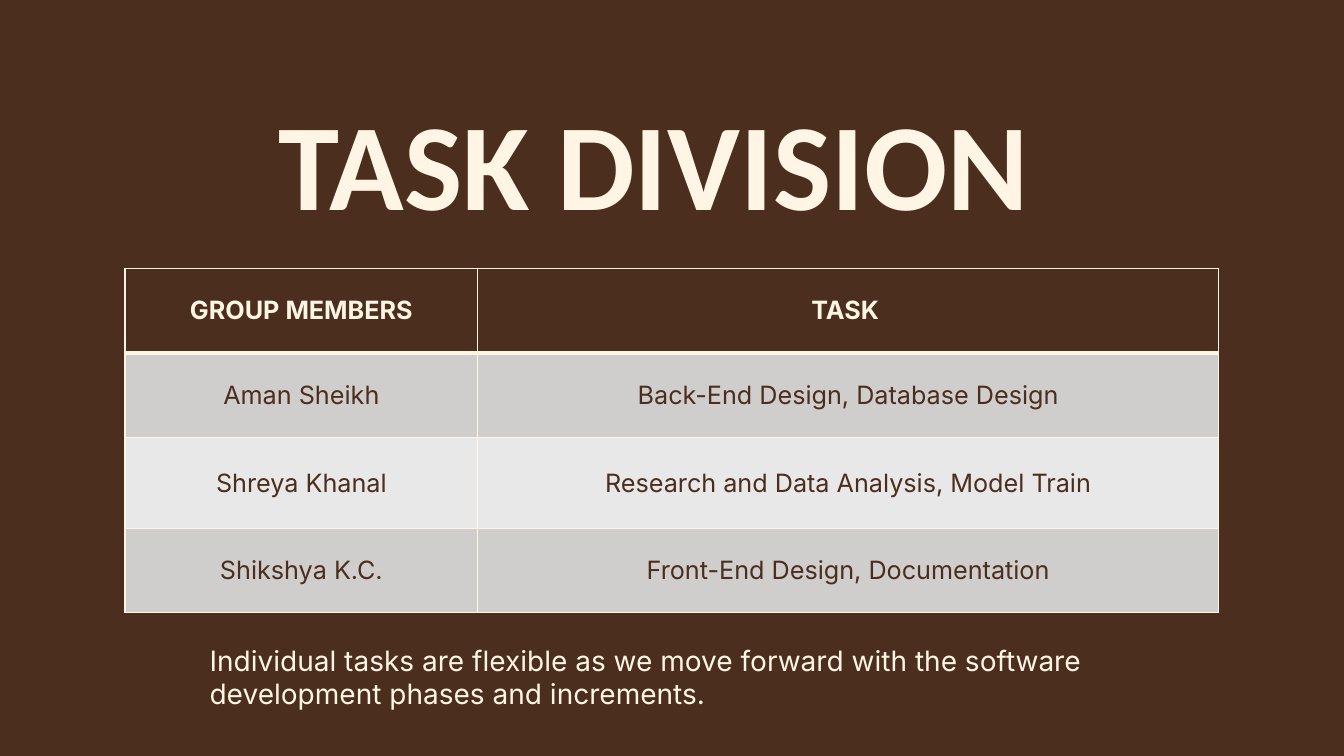
from dataclasses import dataclass

from lxml.etree import SubElement
from pptx import Presentation
from pptx.dml.color import RGBColor
from pptx.enum.text import MSO_ANCHOR, PP_ALIGN
from pptx.oxml.ns import qn
from pptx.util import Pt


@dataclass(frozen=True)
class Theme:
    brown: str = "4B2E1D"
    cream: str = "FFF5E4"
    bands: tuple = ("D0CDCD", "E9E8E8")
    head: str = "Calibri"
    body: str = "Inter"
    title: int = 88
    note: int = 20
    cell: int = 18
    thin: int = 1
    thick: int = 3


THEME = Theme()
TASKS = [
    ("GROUP MEMBERS", "TASK "),
    ("Aman Sheikh", "Back-End Design, Database Design"),
    ("Shreya Khanal", "Research and Data Analysis, Model Train"),
    ("Shikshya K.C.", "Front-End Design, Documentation"),
]
WIDTHS = (252, 529.2)
HEIGHTS = (60.5, 60.5, 64.8, 60.5)


def write(frame, text, font, size, color, bold=False, align=PP_ALIGN.LEFT):
    frame.text = text
    for para in frame.paragraphs:
        para.alignment = align
        for run in para.runs:
            run.font.name = font
            run.font.size = Pt(size)
            run.font.bold = bold
            run.font.color.rgb = RGBColor.from_string(color)


def add_text(slide, box, text, font, size, **style):
    frame = slide.shapes.add_textbox(*map(Pt, box)).text_frame
    frame.word_wrap = True
    write(frame, text, font, size, THEME.cream, **style)


def add_edges(cell, top, bottom):
    """Draw the four cell borders; they must come before the fill in the XML."""
    props = cell._tc.get_or_add_tcPr()
    sides = {"L": THEME.thin, "R": THEME.thin, "T": top, "B": bottom}
    for spot, (side, width) in enumerate(sides.items()):
        line = SubElement(props, qn(f"a:ln{side}"), w=str(Pt(width)))
        fill = SubElement(line, qn("a:solidFill"))
        SubElement(fill, qn("a:srgbClr"), val=THEME.cream)
        props.insert(spot, line)


def fill_cell(cell, text, row):
    is_head = row == 0
    back = THEME.brown if is_head else THEME.bands[(row - 1) % 2]
    ink = THEME.cream if is_head else THEME.brown
    cell.fill.solid()
    cell.fill.fore_color.rgb = RGBColor.from_string(back)
    cell.vertical_anchor = MSO_ANCHOR.MIDDLE
    write(cell.text_frame, text, THEME.body, THEME.cell, ink,
          bold=is_head, align=PP_ALIGN.CENTER)
    add_edges(cell, top=THEME.thick if row == 1 else THEME.thin,
              bottom=THEME.thick if is_head else THEME.thin)


def add_tasks(slide, left, top):
    box = (left, top, sum(WIDTHS), sum(HEIGHTS))
    table = slide.shapes.add_table(
        len(TASKS), len(WIDTHS), *map(Pt, box)).table
    for col, width in zip(table.columns, WIDTHS):
        col.width = Pt(width)
    for index, height in enumerate(HEIGHTS):
        table.rows[index].height = Pt(height)
        for cell, text in zip(table.rows[index].cells, TASKS[index]):
            fill_cell(cell, text, index)


def main():
    deck = Presentation()
    deck.slide_width, deck.slide_height = Pt(960), Pt(540)
    slide = deck.slides.add_slide(deck.slide_layouts[6])
    slide.background.fill.solid()
    slide.background.fill.fore_color.rgb = RGBColor.from_string(THEME.brown)

    add_text(slide, (112.3, 59, 709.2, 113.8), "TASK DIVISION",
             THEME.head, THEME.title, bold=True, align=PP_ALIGN.CENTER)
    add_tasks(slide, 89.3, 191.5)
    add_text(slide, (142.6, 455.8, 698.4, 55.4),
             "Individual tasks are flexible as we move forward with the "
             "software development phases and increments.",
             THEME.body, THEME.note)
    deck.save("out.pptx")


if __name__ == "__main__":
    main()
